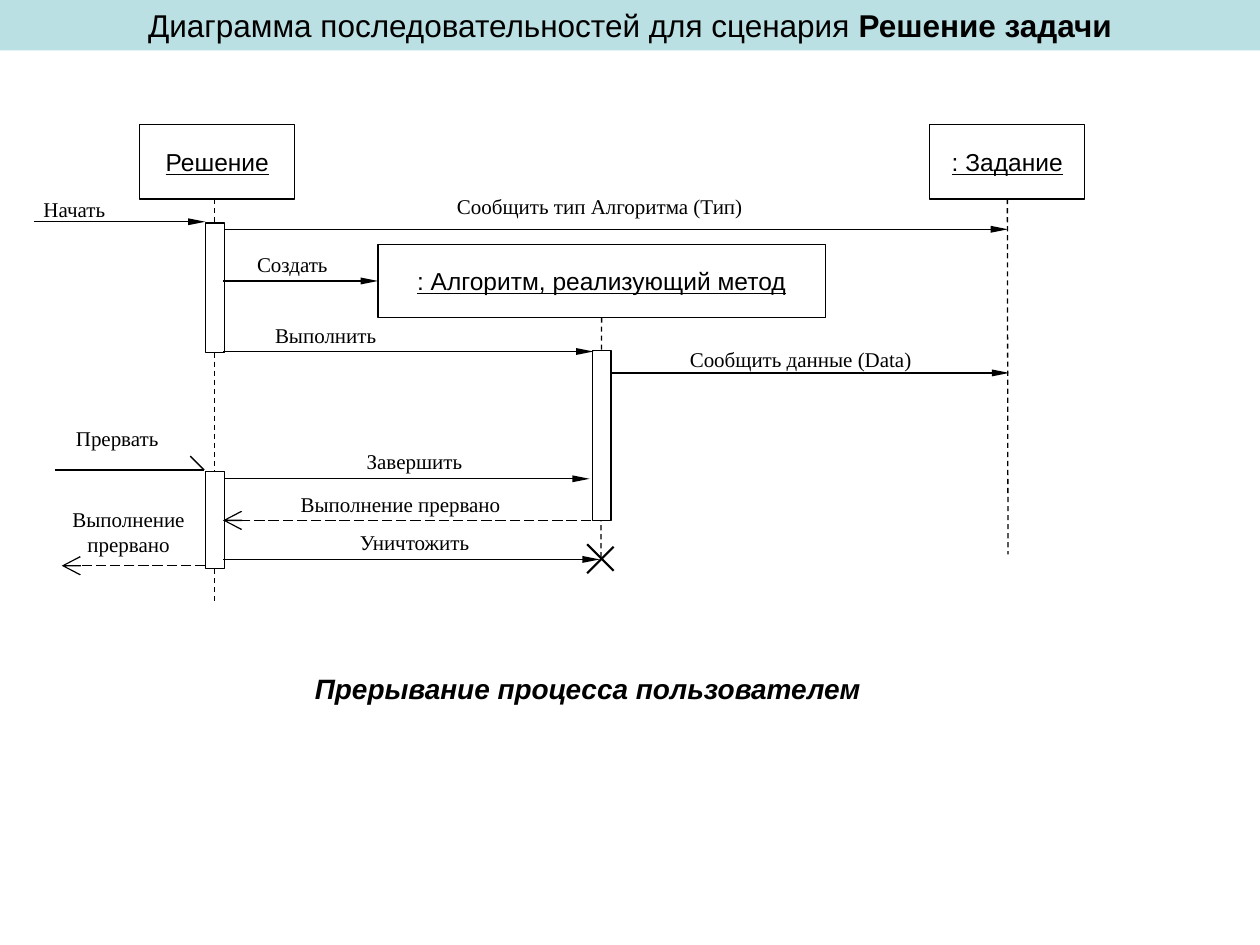
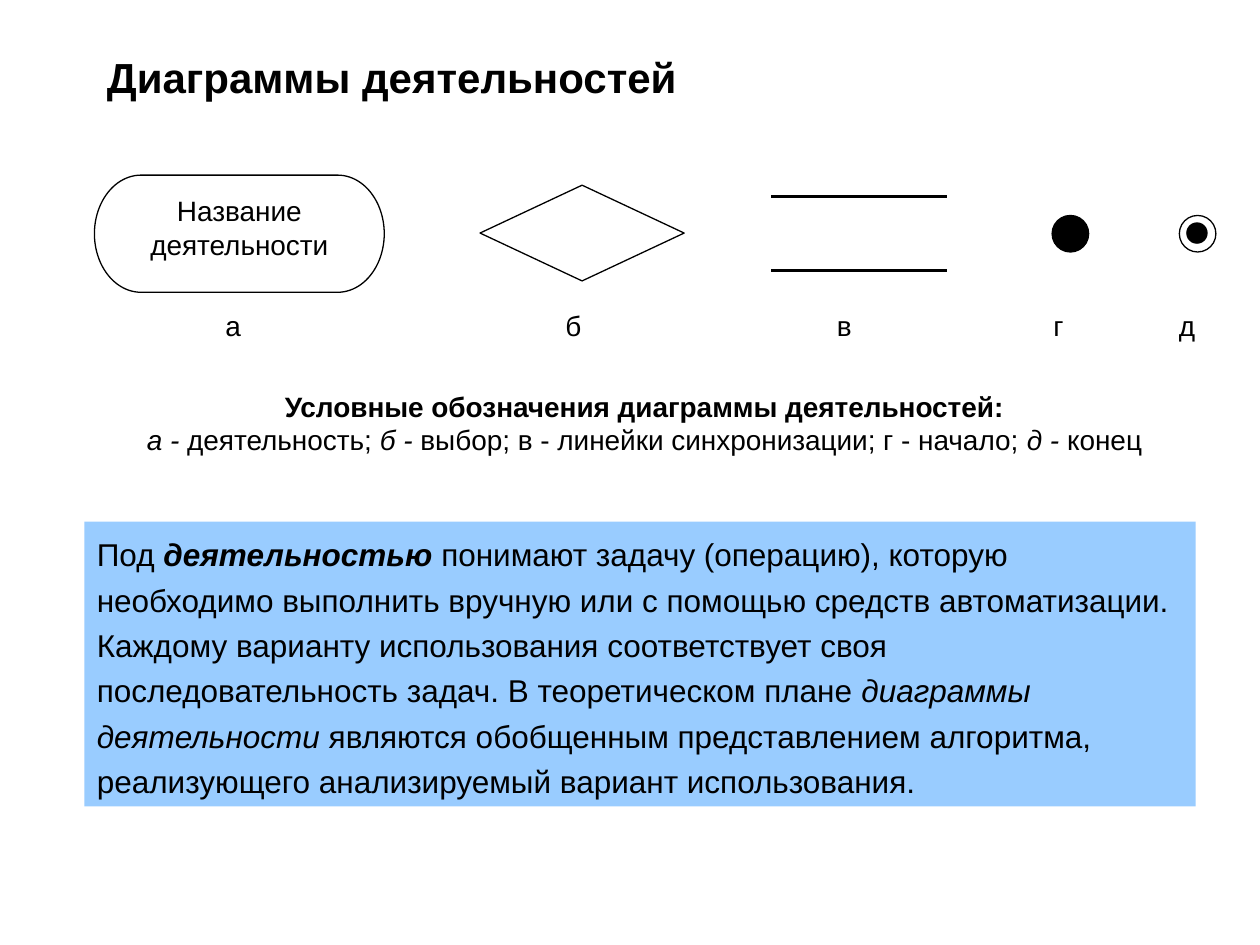
import pptx
import pptx.dml.color
import pptx.enum.dml
import pptx.enum.shapes
import pptx.enum.text
import pptx.oxml.ns
import pptx.util
from lxml import etree

Inches = pptx.util.Inches
SHAPE = pptx.enum.shapes.MSO_SHAPE
DASH = pptx.enum.dml.MSO_LINE.DASH
LONG_DASH = pptx.enum.dml.MSO_LINE.LONG_DASH
ALIGN = pptx.enum.text.PP_ALIGN
ANCHOR = pptx.enum.text.MSO_ANCHOR

BLACK, WHITE = "000000", "FFFFFF"
TITLE_BAND, DEFINITION_FILL = "BBE0E3", "99CCFF"
SANS, SERIF = "Arial", "Times New Roman"
THIN = 0.75
HEAD_WIDTHS = {"triangle": "sm", "arrow": "lg"}


def color(hex_code):
    return pptx.dml.color.RGBColor.from_string(hex_code)


def add_xml(parent, tag, **attributes):
    child = etree.SubElement(parent, pptx.oxml.ns.qn(tag))
    for name, value in attributes.items():
        child.set(name, str(value))
    return child


def write(sp, paragraphs, size, font=SANS, align=ALIGN.CENTER, anchor=ANCHOR.TOP,
          insets=(0.1, 0.05), wrap=True):
    """Each paragraph is a list of (text, style) pairs; style letters are b, i and u."""
    tf = sp.text_frame
    tf.word_wrap = wrap
    tf.vertical_anchor = anchor
    tf.margin_left = tf.margin_right = Inches(insets[0])
    tf.margin_top = tf.margin_bottom = Inches(insets[1])
    for index, runs in enumerate(paragraphs):
        p = tf.add_paragraph() if index else tf.paragraphs[0]
        p.alignment = align
        for text, style in runs:
            r = p.add_run()
            r.text = text
            r.font.name = font
            r.font.size = pptx.util.Pt(size)
            r.font.color.rgb = color(BLACK)
            r.font.bold = "b" in style
            r.font.italic = "i" in style
            r.font.underline = "u" in style
    return tf


def add_text(slide, box, paragraphs, size, **options):
    sp = slide.shapes.add_textbox(*map(Inches, box))
    return write(sp, paragraphs, size, **options)


def add_figure(slide, kind, box, fill=None, line=BLACK):
    sp = slide.shapes.add_shape(kind, *map(Inches, box))
    sp.shadow.inherit = False
    if fill:
        sp.fill.solid()
        sp.fill.fore_color.rgb = color(fill)
    else:
        sp.fill.background()
    if line:
        sp.line.color.rgb = color(line)
        sp.line.width = pptx.util.Pt(THIN)
    else:
        sp.line.fill.background()
    return sp


def add_line(slide, start, end, width=THIN, dash=None, head=None):
    cxn = slide.shapes.add_connector(pptx.enum.shapes.MSO_CONNECTOR.STRAIGHT,
                                     *map(Inches, start + end))
    cxn.line.color.rgb = color(BLACK)
    cxn.line.width = pptx.util.Pt(width)
    if dash:
        cxn.line.dash_style = dash
    if head:
        add_xml(cxn.line._get_or_add_ln(), "a:tailEnd",
                type=head, w=HEAD_WIDTHS[head], len="lg")
    add_xml(cxn._element.spPr, "a:effectLst")
    return cxn


def add_participant(slide, name, box):
    sp = add_figure(slide, SHAPE.RECTANGLE, box)
    write(sp, [[(name, "u")]], 14, anchor=ANCHOR.MIDDLE, wrap=False)
    return sp


def add_activation(slide, left, top, height):
    add_figure(slide, SHAPE.RECTANGLE, (left, top, 0.15, height), WHITE)


def add_message(slide, label, label_box, x_from, x_to, y, head="triangle", dash=None):
    left, top, width = label_box
    add_text(slide, (left, top, width, 0.3), [[(label, "")]], 12, font=SERIF)
    return add_line(slide, (x_from, y), (x_to, y), dash=dash, head=head)


def build_sequence_slide(slide):
    band = add_figure(slide, SHAPE.RECTANGLE, (0, 0, 10, 0.4), TITLE_BAND, None)
    write(band, [[("Диаграмма последовательностей для сценария", ""),
                  (" Решение задачи", "b")]], 18)

    add_participant(slide, "Решение", (1.11, 0.99, 1.23, 0.59))
    task = add_participant(slide, ": Задание", (7.38, 0.99, 1.23, 0.59))
    algorithm = add_participant(slide, ": Алгоритм, реализующий метод",
                                (3, 1.94, 3.55, 0.58))

    add_line(slide, (1.7, 1.58), (1.7, 4.77), dash=DASH)
    add_line(slide, (8, 1.58), (8, 4.4), dash=DASH).begin_connect(task, 2)
    add_line(slide, (4.77, 2.52), (4.77, 4.43), dash=DASH).begin_connect(algorithm, 2)

    for left, top, height in ((1.63, 1.77, 1.03), (1.63, 3.74, 0.77), (4.7, 2.78, 1.35)):
        add_activation(slide, left, top, height)

    for label, label_box, x_from, x_to, y in (
        ("Начать", (0.15, 1.51, 0.88), 0.27, 1.63, 1.76),
        ("Сообщить тип Алгоритма (Тип)", (2.77, 1.49, 3.98), 1.78, 8, 1.82),
        ("Выполнить", (2.05, 2.51, 1.07), 1.77, 4.71, 2.79),
        ("Сообщить данные (Data)", (5.13, 2.7, 2.45), 4.85, 8.01, 2.96),
        ("Завершить", (2.74, 3.51, 1.1), 1.78, 4.68, 3.8),
        ("Уничтожить", (2.74, 4.15, 1.1), 1.77, 4.76, 4.44),
    ):
        add_message(slide, label, label_box, x_from, x_to, y)
    create = add_message(slide, "Создать", (1.88, 1.95, 0.88), 1.77, 3, 2.23)
    create.end_connect(algorithm, 1)

    add_message(slide, "Прервать", (0.49, 3.33, 0.88), 0.44, 1.62, 3.73, head=None)
    add_line(slide, (1.62, 3.73), (1.51, 3.62))
    for label_box, x_from, x_to, y in (((2.06, 3.85, 2.24), 4.69, 1.77, 4.13),
                                       ((0.46, 3.97, 1.12), 1.63, 0.49, 4.49)):
        add_message(slide, "Выполнение прервано", label_box, x_from, x_to, y,
                    head="arrow", dash=LONG_DASH)

    add_line(slide, (4.66, 4.32), (4.87, 4.53), width=1.25)
    add_line(slide, (4.87, 4.34), (4.66, 4.55), width=1.25)

    add_text(slide, (1.79, 5.28, 5.75, 0.37),
             [[("Прерывание процесса пользователем", "bi")]], 16)


def add_symbol_letters(slide):
    letter_centers = {"а": 1.08, "б": 3.78, "в": 5.93, "г": 7.63, "д": 8.65}
    letters = "".join("\t" + letter for letter in letter_centers)
    tf = add_text(slide, (0.75, 2.44, 9.25, 0.45), [[(letters, "")]], 16,
                  align=ALIGN.LEFT, insets=(0.02, 0.01))
    tabs = add_xml(tf.paragraphs[0]._p.get_or_add_pPr(), "a:tabLst")
    for center in letter_centers.values():
        add_xml(tabs, "a:tab", pos=Inches(center), algn="ctr")


def build_activity_slide(slide):
    add_text(slide, (0.75, 0.36, 8.58, 0.5), [[("Диаграммы деятельностей", "b")]], 24,
             align=ALIGN.LEFT)

    activity = add_figure(slide, SHAPE.FLOWCHART_TERMINATOR, (0.75, 1.39, 2.3, 0.93), WHITE)
    write(activity, [[("Название", "")], [("деятельности", "")]], 16, insets=(0.02, 0.01))
    add_figure(slide, SHAPE.FLOWCHART_DECISION, (3.81, 1.47, 1.62, 0.76), WHITE)
    for y in (1.56, 2.15):
        add_line(slide, (6.12, y), (7.52, y), width=1.75)
    for left, top, size, fill in ((8.35, 1.71, 0.29, BLACK), (9.36, 1.71, 0.29, None),
                                  (9.42, 1.77, 0.16, BLACK)):
        add_figure(slide, SHAPE.OVAL, (left, top, size, size), fill)
    add_symbol_letters(slide)

    add_text(slide, (0.51, 3.04, 9.21, 0.64), [
        [("Условные обозначения диаграммы деятельностей:", "b")],
        [("а - ", "i"), ("деятельность; ", ""), ("б - ", "i"),
         ("выбор; в - линейки синхронизации; г - начало; ", ""),
         ("д - ", "i"), ("конец", "")],
    ], 16)

    definition = add_figure(slide, SHAPE.RECTANGLE, (0.67, 4.14, 8.82, 2.26),
                            DEFINITION_FILL, None)
    tf = write(definition, [[
        ("Под ", ""), ("деятельностью ", "bi"),
        ("понимают задачу (операцию), которую необходимо выполнить вручную или "
         "с помощью средств автоматизации. Каждому варианту использования "
         "соответствует своя последовательность задач. В теоретическом плане ", ""),
        ("диаграммы деятельности", "i"),
        (" являются обобщенным представлением алгоритма, реализующего "
         "анализируемый вариант использования.", ""),
    ]], 18, align=ALIGN.LEFT)
    tf.paragraphs[0].line_spacing = 1.2


def main():
    prs = pptx.Presentation()
    prs.slide_width, prs.slide_height = Inches(10), Inches(7.5)
    for build in (build_sequence_slide, build_activity_slide):
        build(prs.slides.add_slide(prs.slide_layouts[6]))
    prs.save("out.pptx")


if __name__ == "__main__":
    main()
